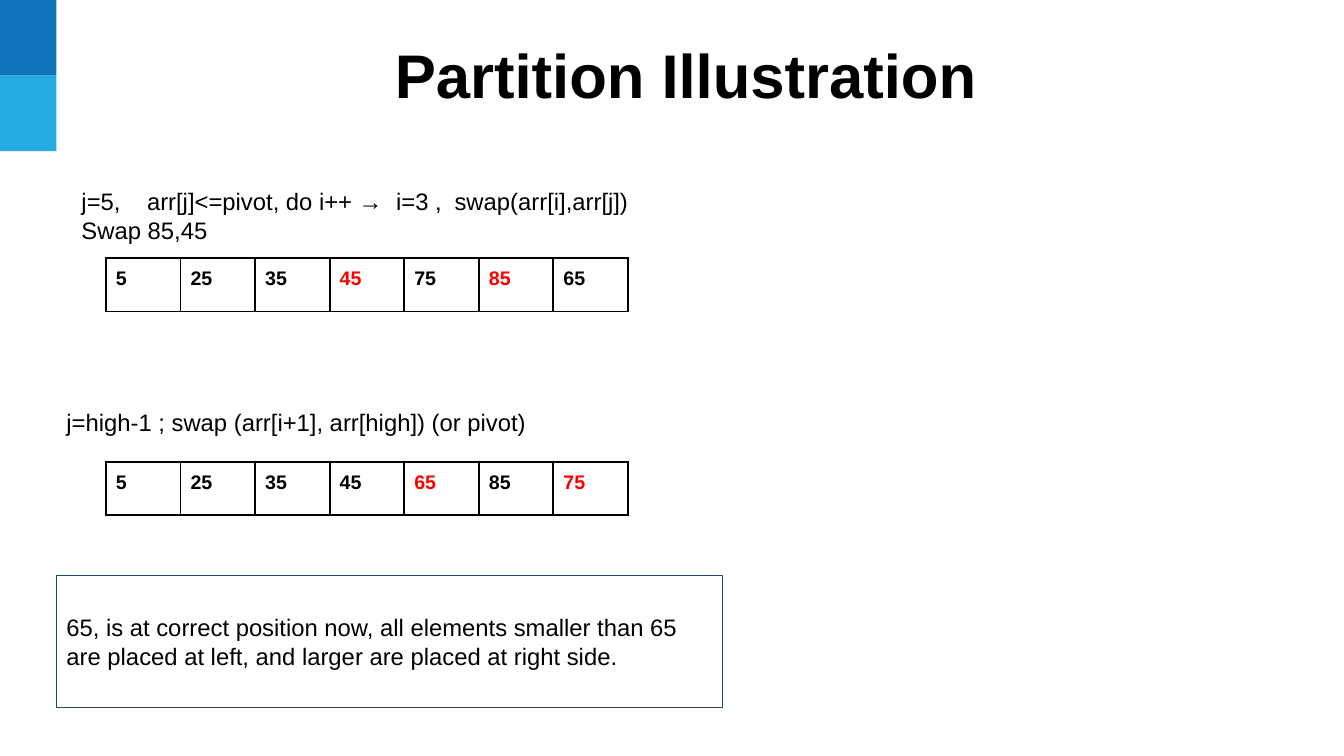
from pptx import Presentation
from pptx.dml.color import RGBColor
from pptx.enum.shapes import MSO_SHAPE as Preset
from pptx.enum.text import MSO_ANCHOR as Anchor, PP_ALIGN as Align
from pptx.oxml import parse_xml
from pptx.oxml.ns import nsdecls
from pptx.util import Inches, Pt

BLACK = RGBColor(0x00, 0x00, 0x00)
WHITE = RGBColor(0xFF, 0xFF, 0xFF)
RED = RGBColor(0xFF, 0x00, 0x00)
NAVY = RGBColor(0x1F, 0x49, 0x7D)
DARK_BLUE = RGBColor(0x0F, 0x75, 0xBD)
LIGHT_BLUE = RGBColor(0x25, 0xAA, 0xE2)

CELL_WIDTH, CELL_HEIGHT = 0.74, 0.53
SIDES = ("L", "R", "T", "B")


def set_format(font, color=BLACK, **values):
    for name, value in {"name": "Arial", **values}.items():
        setattr(font, name, value)
    font.color.rgb = color


def set_margins(frame, horizontal=0.1, vertical=0.1):
    for side in ("left", "right"):
        setattr(frame, f"margin_{side}", Inches(horizontal))
    for side in ("top", "bottom"):
        setattr(frame, f"margin_{side}", Inches(vertical))


def add_rectangle(slide, left, top, width, height, fill, line=None):
    shape = slide.shapes.add_shape(
        Preset.RECTANGLE, Inches(left), Inches(top), Inches(width), Inches(height))
    shape.shadow.inherit = False
    shape.fill.solid()
    shape.fill.fore_color.rgb = fill
    if line is None:
        shape.line.fill.background()
    else:
        shape.line.color.rgb = line
        shape.line.width = Pt(0.75)
    return shape


def add_title(slide, text):
    box = slide.shapes.add_textbox(Inches(2.43), Inches(0.28), Inches(8.75), Inches(0.9))
    frame = box.text_frame
    frame.word_wrap = True
    frame.vertical_anchor = Anchor.MIDDLE
    set_margins(frame, vertical=0.05)
    paragraph = frame.paragraphs[0]
    paragraph.text = text
    paragraph.alignment = Align.CENTER
    set_format(paragraph.font, size=Pt(44), bold=True)


def add_tab_stops(paragraph, stops):
    tabs = "".join(f'<a:tab pos="{Inches(stop)}" algn="l"/>' for stop in stops)
    properties = paragraph._p.get_or_add_pPr()
    properties.append(parse_xml(f'<a:tabLst {nsdecls("a")}>{tabs}</a:tabLst>'))


def add_note(slide, left, top, width, height, lines, line=WHITE, stops=()):
    frame = add_rectangle(slide, left, top, width, height, WHITE, line).text_frame
    frame.word_wrap = True
    frame.vertical_anchor = Anchor.MIDDLE
    set_margins(frame)
    frame.text = "\n".join(lines)
    for paragraph in frame.paragraphs:
        paragraph.alignment = Align.LEFT
        if stops:
            add_tab_stops(paragraph, stops)
        set_format(paragraph.font, size=Pt(17))


def set_borders(cell):
    properties = cell._tc.get_or_add_tcPr()
    for position, side in enumerate(SIDES):
        properties.insert(position, parse_xml(
            f'<a:ln{side} {nsdecls("a")} w="{Pt(1.5)}"><a:solidFill>'
            f'<a:srgbClr val="{BLACK}"/></a:solidFill></a:ln{side}>'))


def add_array(slide, top, values, swapped):
    table = slide.shapes.add_table(
        1, len(values), Inches(1.05), Inches(top),
        Inches(CELL_WIDTH * len(values)), Inches(CELL_HEIGHT)).table
    for column, value in enumerate(values):
        table.columns[column].width = Inches(CELL_WIDTH)
        cell = table.cell(0, column)
        cell.fill.background()
        set_margins(cell)
        set_borders(cell)
        paragraph = cell.text_frame.paragraphs[0]
        paragraph.text = str(value)
        color = RED if value in swapped else BLACK
        set_format(paragraph.runs[0].font, color, size=Pt(14), bold=True)


def main():
    presentation = Presentation()
    presentation.slide_width = Inches(13.33)
    presentation.slide_height = Inches(7.5)
    slide = presentation.slides.add_slide(presentation.slide_layouts[6])

    # Corner blocks and title
    for row, color in enumerate((DARK_BLUE, LIGHT_BLUE)):
        add_rectangle(slide, 0, row * 0.75, 0.56, 0.75, color)
    add_title(slide, "Partition Illustration")

    # Arrays after each swap
    add_array(slide, 2.56, (5, 25, 35, 45, 75, 85, 65), swapped=(45, 85))
    add_array(slide, 4.58, (5, 25, 35, 45, 65, 85, 75), swapped=(65, 75))

    # Explanations
    add_note(slide, 0.71, 1.81, 6.29, 0.65,
             ("j=5,\tarr[j]<=pivot, do i++ →\ti=3 ,\tswap(arr[i],arr[j])", "Swap 85,45"),
             stops=(0.65, 3.12, 3.7))
    add_note(slide, 0.56, 3.86, 5.95, 0.65,
             ("j=high-1 ; swap (arr[i+1], arr[high]) (or pivot)",))
    add_note(slide, 0.56, 5.71, 6.61, 1.31,
             ("65, is at correct position now, all elements smaller than 65 "
              "are placed at left, and larger are placed at right side.",), line=NAVY)

    presentation.save("out.pptx")


if __name__ == "__main__":
    main()
